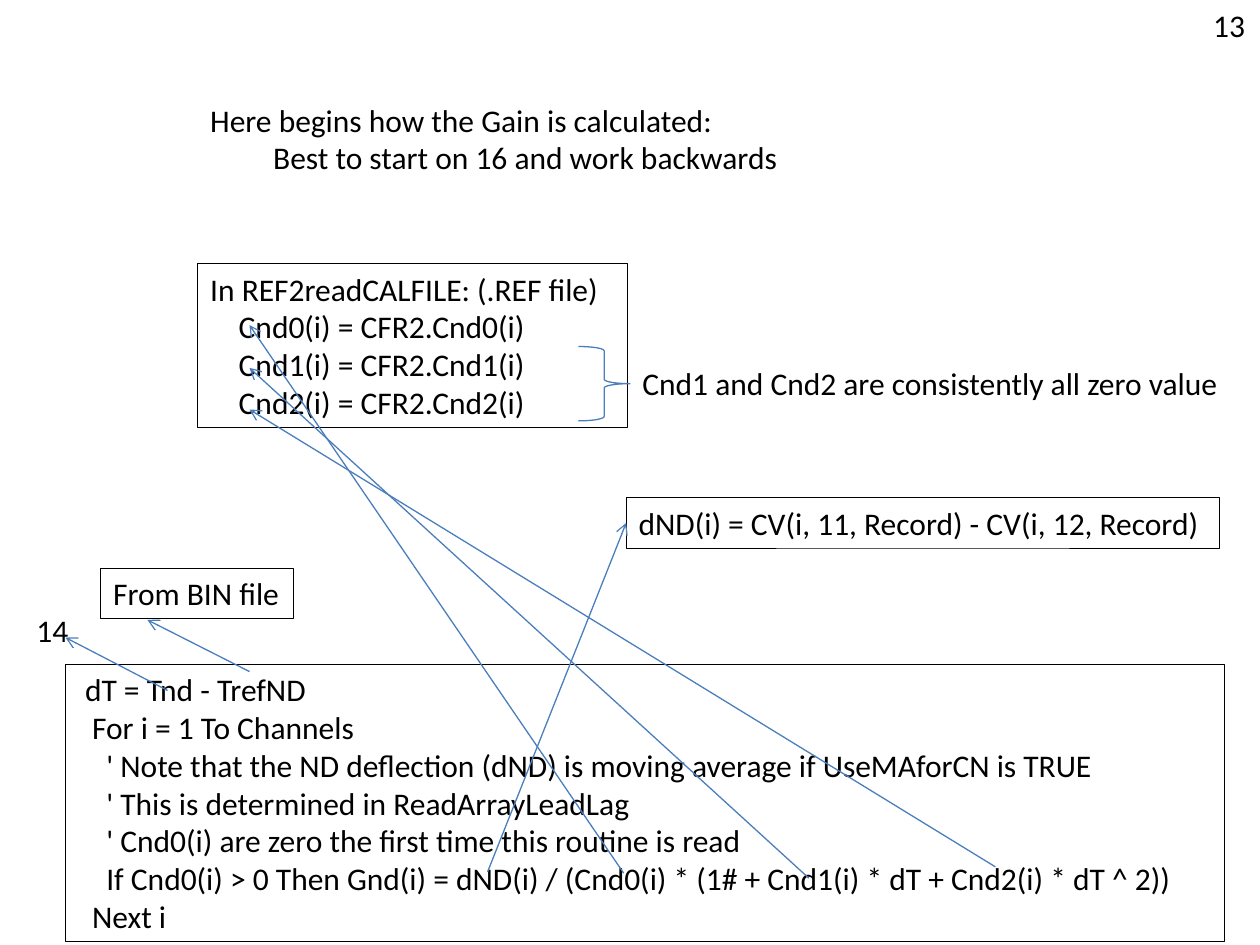
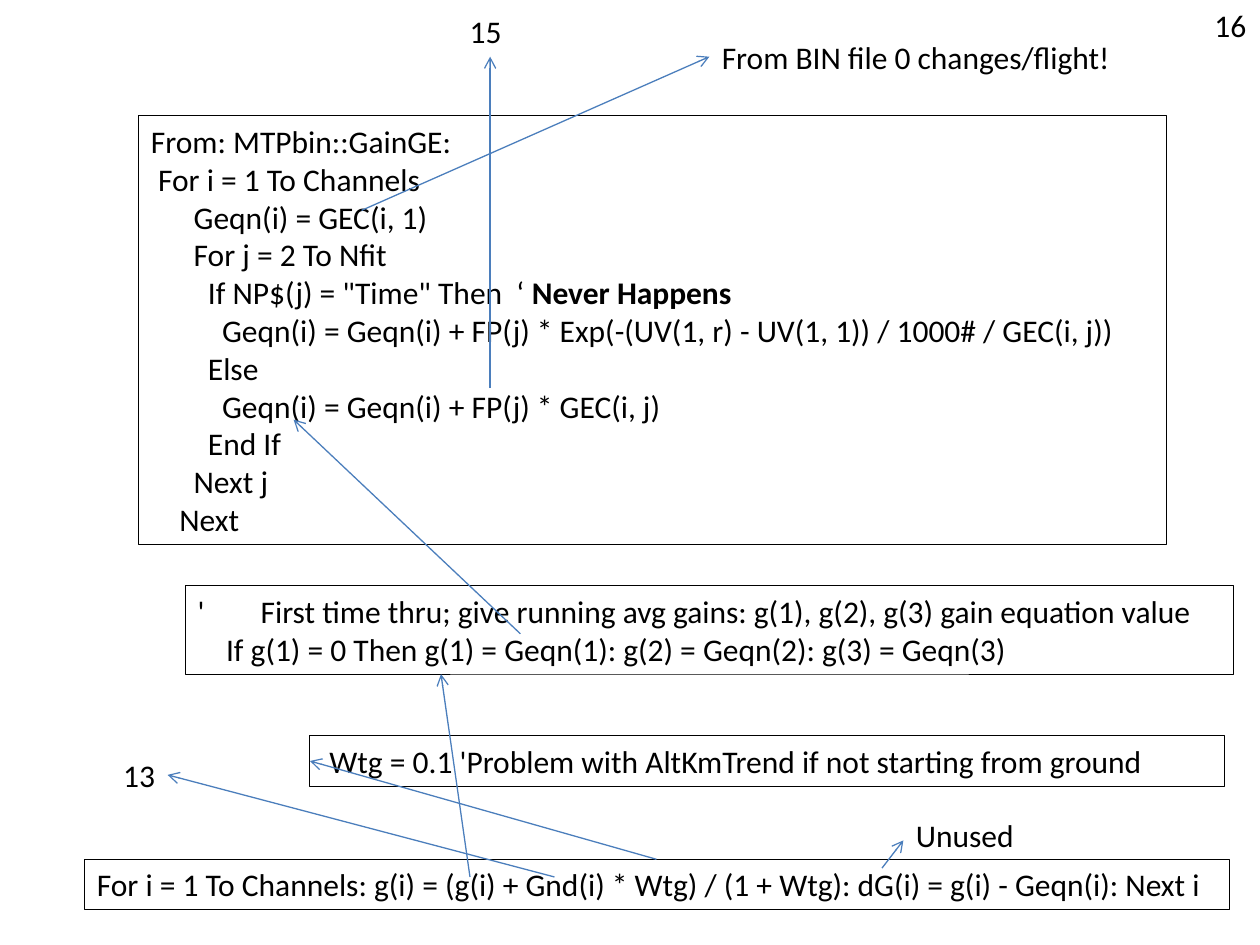
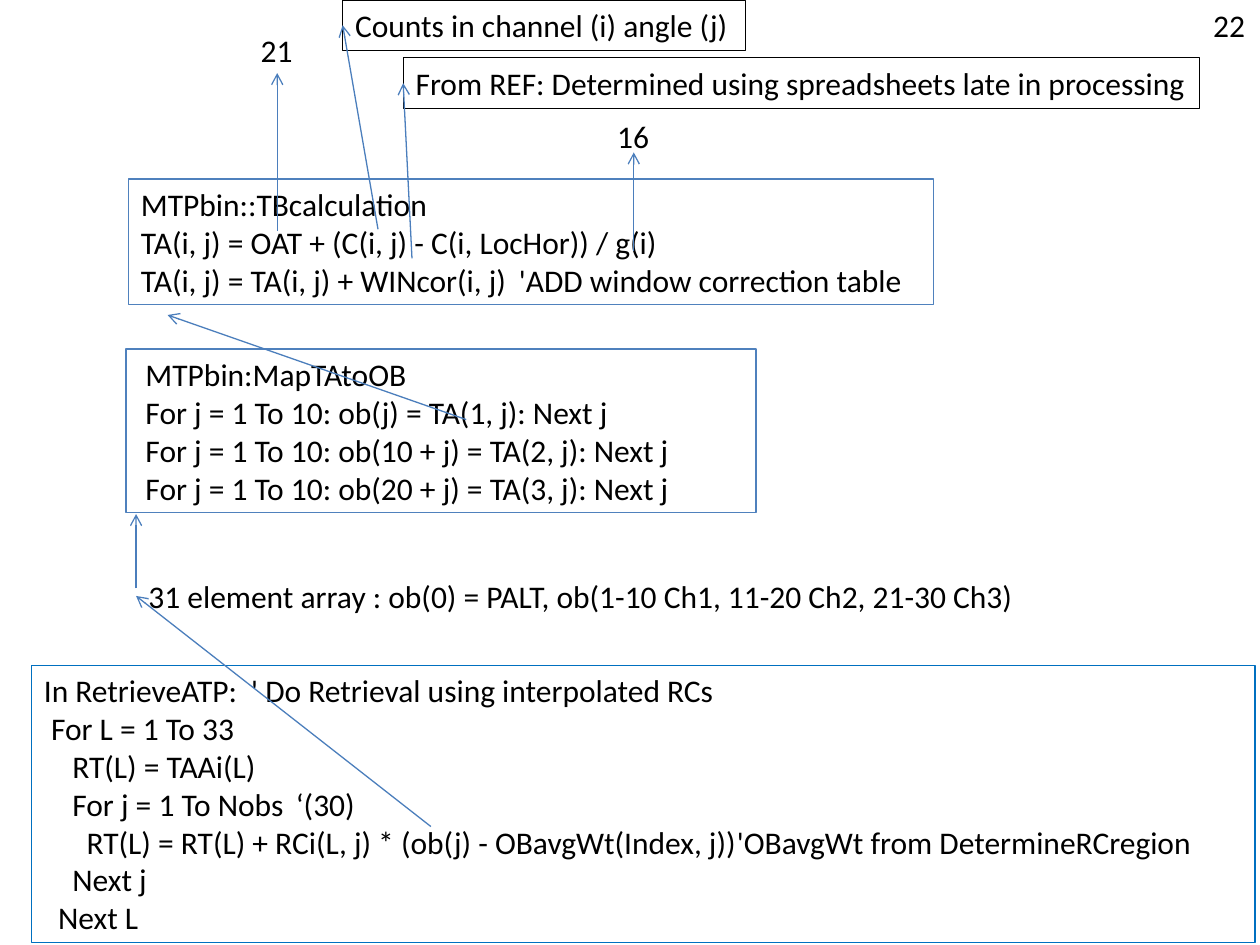
from dataclasses import dataclass
from lxml.etree import SubElement
from pptx import Presentation
from pptx.dml.color import RGBColor
from pptx.enum.shapes import MSO_CONNECTOR as Connector, MSO_SHAPE as Preset
from pptx.enum.text import MSO_AUTO_SIZE as AutoSize
from pptx.oxml.ns import qn
from pptx.util import Inches, Pt

COLORS = {
    "text": "000000",
    "arrow": "4B7EBC",
    "frame": "000000",
    "calculation": "4F81BD",
    "retrieval": "0070C0",
}
FONT, FONT_SIZE = "Calibri", Pt(18)
THIN, NORMAL = Pt(0.5), Pt(0.75)
GRID_COLUMNS = 10
SPACE_WIDTH = FONT_SIZE * 0.226
LABEL_WIDTH, LINE_HEIGHT, BOX_PADDING = 0.46, 0.3, 0.1


@dataclass
class Area:
    slide: object
    left: int
    top: int
    width: int

    def length(self, cells):
        return round(self.width * cells / GRID_COLUMNS)

    def point(self, column, row):
        return self.left + self.length(column), self.top + self.length(row)


def set_line(shape, color, width):
    shape.line.color.rgb = RGBColor.from_string(COLORS[color])
    shape.line.width = width


def add_line_of_text(paragraph, line, tab_stop):
    content = line.lstrip(" ")
    plain, _, bold = content.partition("**")
    paragraph.add_run().text = plain
    if bold:
        emphasis = paragraph.add_run()
        emphasis.text = bold
        emphasis.font.bold = True
    paragraph.font.name = FONT
    paragraph.font.size = FONT_SIZE
    paragraph.font.color.rgb = RGBColor.from_string(COLORS["text"])
    properties = paragraph._p.get_or_add_pPr()
    indent = round((len(line) - len(content)) * SPACE_WIDTH)
    properties.set("marL", "0")
    properties.set("indent", str(indent))
    if "\t" in content:
        tabs = properties.makeelement(qn("a:tabLst"), {})
        properties.insert(0, tabs)
        SubElement(tabs, qn("a:tab"), pos=str(tab_stop), algn="l")


def add_text(area, column, row, width, lines, frame=None, wrap=False, tab=1):
    height = len(lines) * LINE_HEIGHT + BOX_PADDING
    shape = area.slide.shapes.add_textbox(
        *area.point(column, row), area.length(width), area.length(height))
    text_frame = shape.text_frame
    text_frame.word_wrap = wrap
    text_frame.auto_size = AutoSize.SHAPE_TO_FIT_TEXT
    for index, line in enumerate(lines):
        paragraph = text_frame.add_paragraph() if index else text_frame.paragraphs[0]
        add_line_of_text(paragraph, line, area.length(tab))
    if frame:
        set_line(shape, frame, THIN if frame == "frame" else NORMAL)


def add_page_label(area, column, row, number):
    add_text(area, column, row, LABEL_WIDTH, [str(number)])


def add_arrows(area, routes):
    for start, end in routes:
        arrow = area.slide.shapes.add_connector(
            Connector.STRAIGHT, *area.point(*start), *area.point(*end))
        set_line(arrow, "arrow", NORMAL)
        SubElement(arrow.line._get_or_add_ln(), qn("a:tailEnd"), type="arrow")
        SubElement(arrow._element.spPr, qn("a:effectLst"))


def add_brace(area, column, row, width, height):
    brace = area.slide.shapes.add_shape(
        Preset.RIGHT_BRACE, *area.point(column, row),
        area.length(width), area.length(height))
    brace.shadow.inherit = False
    brace.fill.background()
    set_line(brace, "arrow", NORMAL)


def draw_deflection_gain(area):
    add_page_label(area, 9.53, 0, 13)
    add_text(area, 0.52, 5.27, 9.2, [
        " dT = Tnd - TrefND",
        "  For i = 1 To Channels",
        "    ' Note that the ND deflection (dND) is moving average if UseMAforCN is TRUE",
        "    ' This is determined in ReadArrayLeadLag",
        "    ' Cnd0(i) are zero the first time this routine is read",
        "    If Cnd0(i) > 0 Then Gnd(i) = dND(i) / (Cnd0(i) * (1# + Cnd1(i) * dT + Cnd2(i) * dT ^ 2))",
        "  Next i",
    ], "frame", wrap=True)
    add_page_label(area, 0.19, 4.8, 14)
    add_text(area, 0.8, 4.51, 1.53, ["From BIN file"], "frame")
    add_text(area, 4.97, 3.95, 4.71,
             ["dND(i) = CV(i, 11, Record) - CV(i, 12, Record)"], "frame")
    add_text(area, 1.57, 2.09, 3.41, [
        "In REF2readCALFILE: (.REF file)",
        *(f"    Cnd{order}(i) = CFR2.Cnd{order}(i)" for order in range(3)),
    ], "frame", wrap=True)
    add_text(area, 1.57, 0.75, 5.26, [
        "Here begins how the Gain is calculated:",
        "\tBest to start on 16 and work backwards",
    ])
    add_brace(area, 4.59, 2.75, 0.41, 0.59)
    add_text(area, 5, 2.84, 4.85, ["Cnd1 and Cnd2 are consistently all zero value"])
    add_arrows(area, [
        ((1.33, 5.48), (0.52, 5.06)),
        ((1.98, 5.33), (1.17, 4.92)),
        ((3.87, 6.92), (4.97, 4.15)),
        ((4.95, 6.93), (1.98, 2.58)),
        ((6.42, 6.97), (1.98, 2.92)),
        ((7.9, 6.88), (1.98, 3.25)),
    ])


def draw_gain_equation(area):
    add_page_label(area, 9.54, 0, 16)
    add_page_label(area, 0.88, 5.95, 13)
    add_page_label(area, 3.63, 0.05, 15)
    add_text(area, 0.67, 6.82, 9.09, [
        "For i = 1 To Channels: g(i) = (g(i) + Gnd(i) * Wtg) / (1 + Wtg): dG(i) = g(i) - Geqn(i): Next i",
    ], "frame", wrap=True)
    add_text(area, 2.46, 5.84, 7.26, [
        " Wtg = 0.1 'Problem with AltKmTrend if not starting from ground",
    ], "frame", wrap=True)
    add_text(area, 7.17, 6.43, 0.99, ["Unused"])
    add_text(area, 1.47, 4.65, 8.32, [
        "'\tFirst time thru; give running avg gains: g(1), g(2), g(3) gain equation value",
        "    If g(1) = 0 Then g(1) = Geqn(1): g(2) = Geqn(2): g(3) = Geqn(3)",
    ], "frame", wrap=True, tab=0.22)
    add_text(area, 1.1, 0.92, 8.16, [
        "From: MTPbin::GainGE:",
        " For i = 1 To Channels",
        "      Geqn(i) = GEC(i, 1)",
        "      For j = 2 To Nfit",
        "        If NP$(j) = \"Time\" Then  ‘ **Never Happens",
        "          Geqn(i) = Geqn(i) + FP(j) * Exp(-(UV(1, r) - UV(1, 1)) / 1000# / GEC(i, j))",
        "        Else",
        "          Geqn(i) = Geqn(i) + FP(j) * GEC(i, j)",
        "        End If",
        "      Next j",
        "    Next",
    ], "frame", wrap=True)
    add_text(area, 5.63, 0.25, 3.32, ["From BIN file 0 changes/flight!"])
    add_arrows(area, [
        ((5.21, 6.82), (2.46, 6.04)),
        ((3.73, 6.96), (3.5, 5.35)),
        ((7, 6.89), (7.17, 6.67)),
        ((4.4, 6.96), (1.33, 6.15)),
        ((4.13, 5.03), (2.33, 3.33)),
        ((3.89, 3.08), (3.89, 0.45)),
        ((2.87, 1.67), (5.63, 0.45)),
    ])


def draw_retrieval(area):
    add_page_label(area, 9.53, 0, 22)
    add_page_label(area, 1.97, 0.2, 21)
    add_page_label(area, 4.8, 0.88, 16)
    add_text(area, 0.25, 5.28, 9.71, [
        "In RetrieveATP:  ' Do Retrieval using interpolated RCs",
        " For L = 1 To 33",
        "    RT(L) = TAAi(L)",
        "    For j = 1 To Nobs\t‘(30)",
        "      RT(L) = RT(L) + RCi(L, j) * (ob(j) - OBavgWt(Index, j))\t'OBavgWt from DetermineRCregion",
        "    Next j",
        "  Next L",
    ], "retrieval", tab=0)
    shape = area.slide.shapes[-1]
    for index, stop in ((3, 2.18), (4, 5.77)):
        properties = shape.text_frame.paragraphs[index]._p.pPr
        properties.find(qn("a:tabLst"))[0].set("pos", str(area.length(stop)))
    add_text(area, 1.08, 4.53, 7.4,
             ["31 element array : ob(0) = PALT, ob(1-10 Ch1, 11-20 Ch2, 21-30 Ch3)"])
    add_text(area, 1, 2.77, 5, [
        " MTPbin:MapTAtoOB",
        *(f" For j = 1 To 10: ob({offset}j) = TA({channel}, j): Next j"
          for channel, offset in enumerate(("", "10 + ", "20 + "), 1)),
    ], "calculation", wrap=True)
    add_text(area, 1.02, 1.42, 6.39, [
        "MTPbin::TBcalculation",
        "TA(i, j) = OAT + (C(i, j) - C(i, LocHor)) / g(i)",
        "TA(i, j) = TA(i, j) + WINcor(i, j)\t'ADD window correction table",
    ], "calculation", tab=3.06)
    add_text(area, 2.72, 0, 3.2, ["Counts in channel (i) angle (j)"], "frame")
    add_text(area, 3.2, 0.46, 6.32,
             ["From REF: Determined using spreadsheets late in processing"], "frame")
    add_arrows(area, [
        ((3.42, 6.56), (1.08, 4.73)),
        ((1.08, 4.67), (1.08, 4.08)),
        ((2.2, 1.83), (2.2, 0.58)),
        ((3.7, 3.33), (1.33, 2.5)),
        ((3, 1.82), (2.72, 0.2)),
        ((3.27, 2.05), (3.2, 0.66)),
        ((5.03, 1.99), (5.03, 1.21)),
    ])


presentation = Presentation()
presentation.slide_width = Inches(10)
presentation.slide_height = Inches(7.5)
for draw in (draw_deflection_gain, draw_gain_equation, draw_retrieval):
    slide = presentation.slides.add_slide(presentation.slide_layouts[6])
    draw(Area(slide, 0, 0, presentation.slide_width))
presentation.save("out.pptx")
